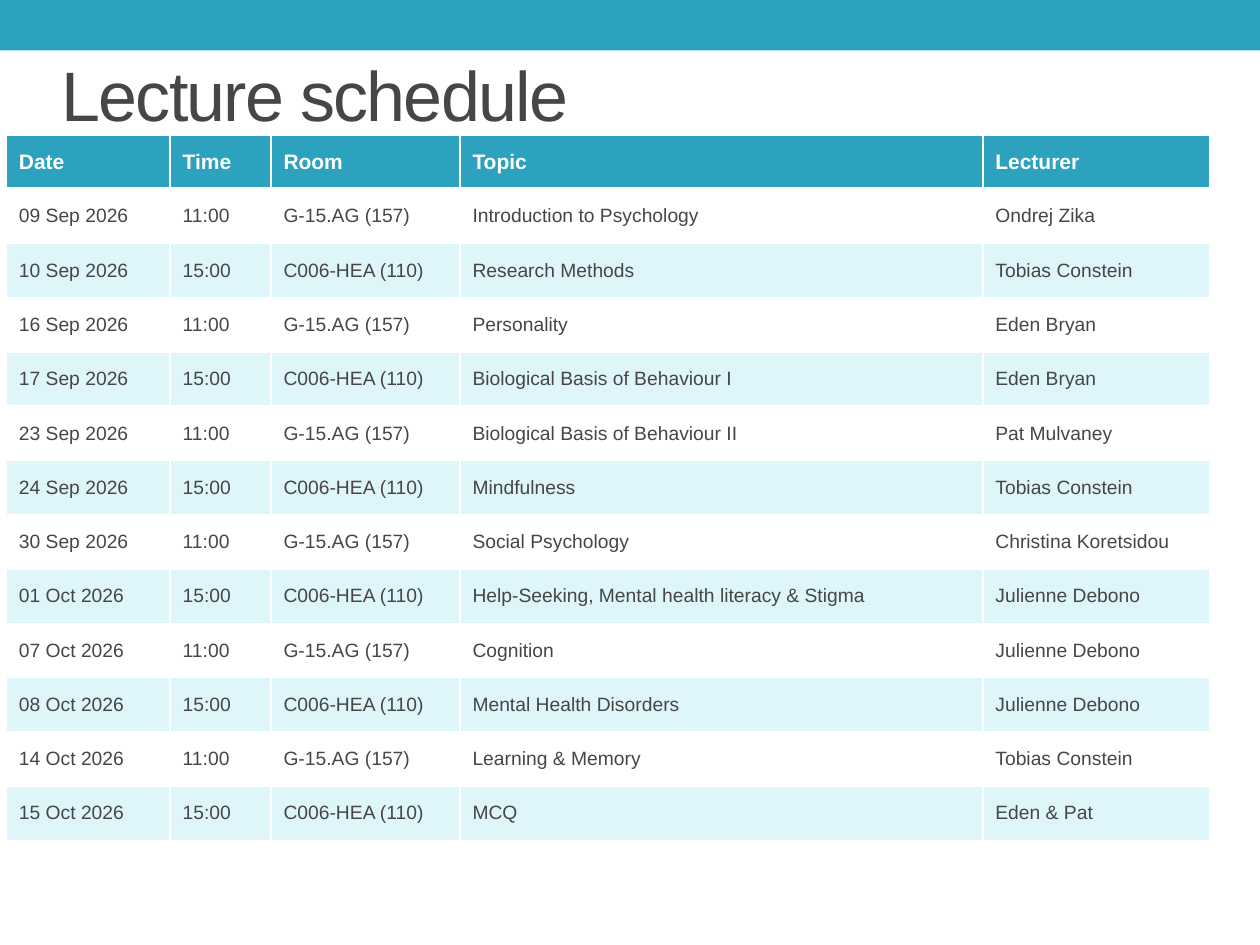
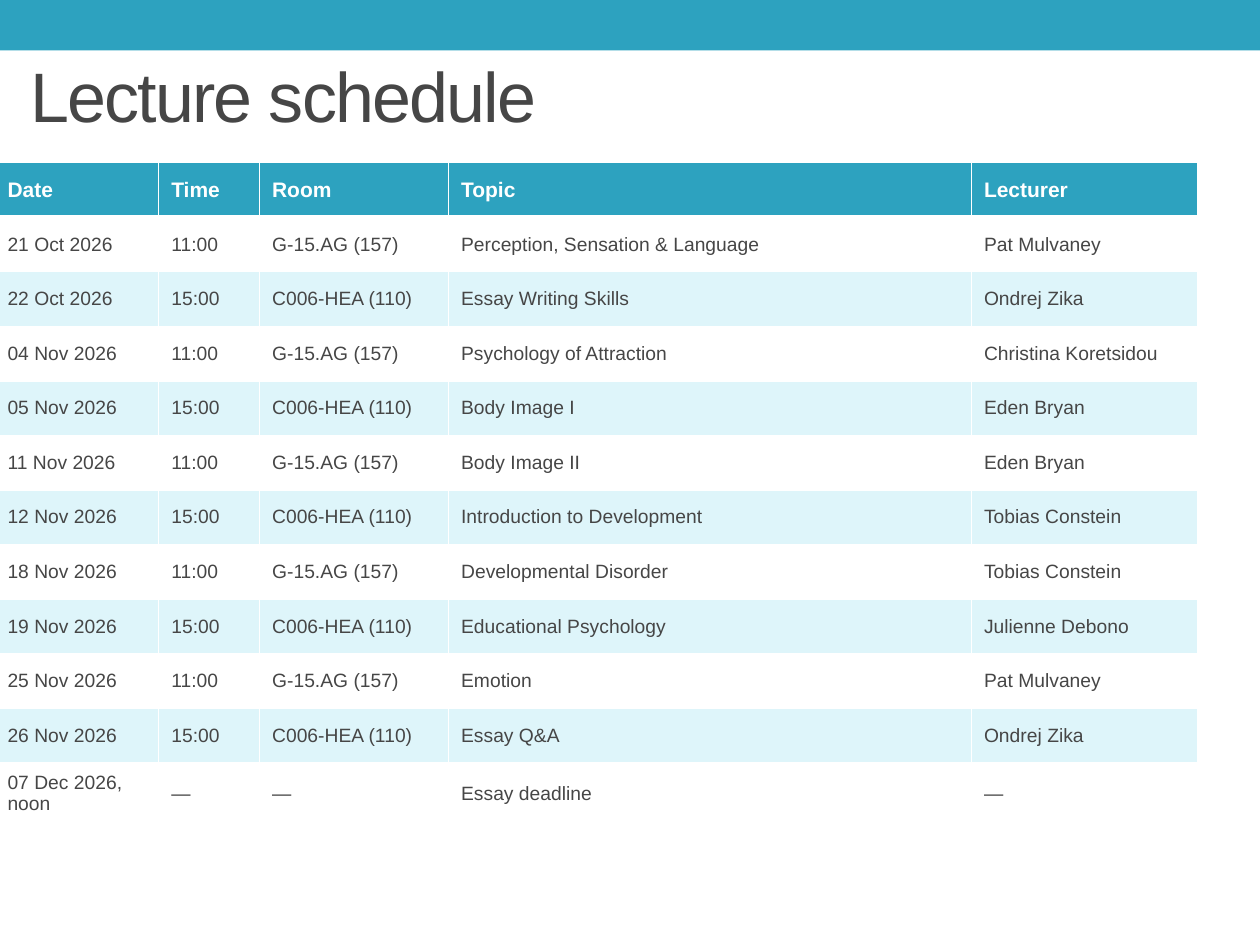
import itertools

import pptx
import pptx.dml.color
import pptx.enum.shapes
import pptx.enum.text
import pptx.oxml.ns
import pptx.util
from lxml import etree

Inches = pptx.util.Inches
Pt = pptx.util.Pt
MIDDLE = pptx.enum.text.MSO_ANCHOR.MIDDLE

FONT = "Arial"
TEAL, PALE, WHITE, GREY = "2DA2BF", "DEF5FA", "FFFFFF", "464646"

HEADS = ("Date", "Time", "Room", "Topic", "Lecturer")
WIDTHS = (1.3, 0.8, 1.5, 4.15, 1.8)
SLOTS = (("11:00", "G-15.AG (157)"), ("15:00", "C006-HEA (110)"))

EARLY = (
    ("09 Sep 2026", "Introduction to Psychology", "Ondrej Zika"),
    ("10 Sep 2026", "Research Methods", "Tobias Constein"),
    ("16 Sep 2026", "Personality", "Eden Bryan"),
    ("17 Sep 2026", "Biological Basis of Behaviour I", "Eden Bryan"),
    ("23 Sep 2026", "Biological Basis of Behaviour II", "Pat Mulvaney"),
    ("24 Sep 2026", "Mindfulness", "Tobias Constein"),
    ("30 Sep 2026", "Social Psychology", "Christina Koretsidou"),
    ("01 Oct 2026", "Help-Seeking, Mental health literacy & Stigma", "Julienne Debono"),
    ("07 Oct 2026", "Cognition", "Julienne Debono"),
    ("08 Oct 2026", "Mental Health Disorders", "Julienne Debono"),
    ("14 Oct 2026", "Learning & Memory", "Tobias Constein"),
    ("15 Oct 2026", "MCQ", "Eden & Pat"),
)
LATE = (
    ("21 Oct 2026", "Perception, Sensation & Language", "Pat Mulvaney"),
    ("22 Oct 2026", "Essay Writing Skills", "Ondrej Zika"),
    ("04 Nov 2026", "Psychology of Attraction", "Christina Koretsidou"),
    ("05 Nov 2026", "Body Image I", "Eden Bryan"),
    ("11 Nov 2026", "Body Image II", "Eden Bryan"),
    ("12 Nov 2026", "Introduction to Development", "Tobias Constein"),
    ("18 Nov 2026", "Developmental Disorder", "Tobias Constein"),
    ("19 Nov 2026", "Educational Psychology", "Julienne Debono"),
    ("25 Nov 2026", "Emotion", "Pat Mulvaney"),
    ("26 Nov 2026", "Essay Q&A", "Ondrej Zika"),
)
DEADLINE = ("07 Dec 2026, noon", "—", "—", "Essay deadline", "—")


def color(code):
    return pptx.dml.color.RGBColor.from_string(code)


def lectures(talks):
    """Add the alternating time and room to each (date, topic, lecturer)."""
    return [(date, *slot, topic, who)
            for (date, topic, who), slot in zip(talks, itertools.cycle(SLOTS))]


class Deck:
    def __init__(self):
        self.file = pptx.Presentation()
        self.file.slide_width = Inches(10)
        self.file.slide_height = Inches(7.5)
        self.slide = None

    def page(self):
        """Start a slide with the band along its top."""
        self.slide = self.file.slides.add_slide(self.file.slide_layouts[6])
        band = self.slide.shapes.add_shape(
            pptx.enum.shapes.MSO_SHAPE.RECTANGLE, 0, 0, Inches(10), Inches(0.4))
        band.shadow.inherit = False
        band.fill.solid()
        band.fill.fore_color.rgb = color(TEAL)
        band.line.fill.background()

    def style(self, para, size, ink, bold=False):
        para.font.name = FONT
        para.font.size = Pt(size)
        para.font.bold = bold
        para.font.color.rgb = color(ink)

    def title(self, text, left, top):
        box = self.slide.shapes.add_textbox(
            Inches(left), Inches(top), Inches(9), Inches(1.08))
        frame = box.text_frame
        frame.word_wrap = True
        frame.vertical_anchor = MIDDLE
        para = frame.paragraphs[0]
        run = para.add_run()
        run.text = text
        self.style(para, 40, GREY)
        run.font._element.set("spc", "-100")

    def border(self, cell, side, width):
        props = cell._tc.get_or_add_tcPr()
        line = etree.SubElement(props, pptx.oxml.ns.qn(f"a:ln{side}"), w=str(Pt(width)))
        fill = etree.SubElement(line, pptx.oxml.ns.qn("a:solidFill"))
        etree.SubElement(fill, pptx.oxml.ns.qn("a:srgbClr"), val=WHITE)

    def cell(self, cell, text, row):
        head = row == 0
        cell.text = text
        cell.vertical_anchor = MIDDLE
        if not head:
            cell.margin_top = cell.margin_bottom = Inches(0.06)
        self.style(cell.text_frame.paragraphs[0], 12 if head else 11,
                   WHITE if head else GREY, head)
        for side in "LRTB":
            thick = (row, side) in ((0, "B"), (1, "T"))
            self.border(cell, side, 3 if thick else 1)
        cell.fill.solid()
        cell.fill.fore_color.rgb = color(TEAL if head else (PALE, WHITE)[row % 2])

    def table(self, rows, left, top, height):
        rows = [HEADS, *rows]
        table = self.slide.shapes.add_table(
            len(rows), len(HEADS), Inches(left), Inches(top),
            Inches(sum(WIDTHS)), Inches(height)).table
        for column, width in zip(table.columns, WIDTHS):
            column.width = Inches(width)
        for r, texts in enumerate(rows):
            for c, text in enumerate(texts):
                self.cell(table.cell(r, c), text, r)


def main():
    deck = Deck()

    deck.page()
    deck.title("Lecture schedule", 0.39, 0.2)
    deck.table(lectures(EARLY), 0.05, 1.07, 5.6)

    deck.page()
    deck.title("Lecture schedule", 0.14, 0.21)
    deck.table([*lectures(LATE), DEADLINE], -0.04, 1.29, 5.2)

    deck.file.save("out.pptx")


if __name__ == "__main__":
    main()
